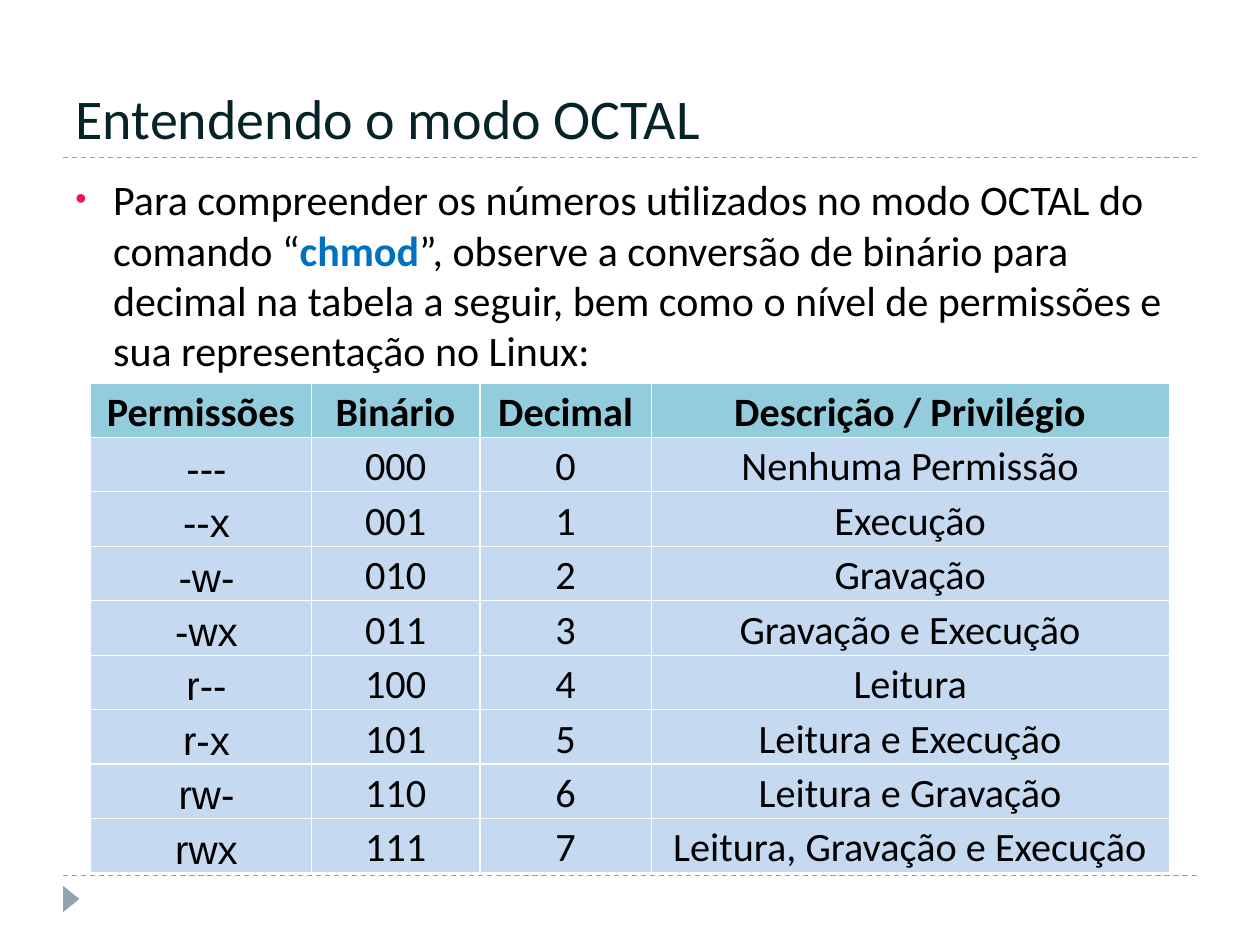
import pptx
import pptx.dml.color
import pptx.enum.dml
import pptx.enum.shapes
import pptx.enum.text
import pptx.oxml.ns
import pptx.util
from lxml import etree
from pptx.util import Inches

COLORS = {
    "title": "062328",
    "text": "000000",
    "command": "0070C0",
    "bullet": "ED145B",
    "rule": "91A4AE",
    "header": "93CDDD",
    "cell": "C5D9F1",
    "border": "FFFFFF",
}


def rgb(name):
    return pptx.dml.color.RGBColor.from_string(COLORS[name])


def format_run(run, size, color, bold=False, font="Calibri"):
    run.font.name = font
    run.font.size = pptx.util.Pt(size)
    run.font.bold = bold
    run.font.color.rgb = rgb(color)


presentation = pptx.Presentation()
presentation.slide_width = Inches(10)
presentation.slide_height = Inches(7.5)
slide = presentation.slides.add_slide(presentation.slide_layouts[5])
qn = pptx.oxml.ns.qn

# Dashed rules
for y in (6.95, 1.25):
    rule = slide.shapes.add_connector(
        pptx.enum.shapes.MSO_CONNECTOR.STRAIGHT,
        Inches(0.5), Inches(y), Inches(9.5), Inches(y))
    rule.line.color.rgb = rgb("rule")
    rule.line.width = pptx.util.Pt(0.75)
    rule.line.dash_style = pptx.enum.dml.MSO_LINE.DASH
    etree.SubElement(rule._element.spPr, qn("a:effectLst"))

# Footer marker
marker = slide.shapes.add_shape(
    pptx.enum.shapes.MSO_SHAPE.ISOSCELES_TRIANGLE,
    Inches(0.46), Inches(7.07), Inches(0.21), Inches(0.13))
marker.rotation = 90
marker.shadow.inherit = False
marker.fill.solid()
marker.fill.fore_color.rgb = rgb("rule")
marker.line.fill.background()

# Title
title = slide.shapes.title
title.left, title.top = Inches(0.5), Inches(0.17)
title.width, title.height = Inches(9), Inches(1.08)
title.text_frame.text = "Entendendo o modo OCTAL"
title.text_frame.vertical_anchor = pptx.enum.text.MSO_ANCHOR.BOTTOM
paragraph = title.text_frame.paragraphs[0]
paragraph.alignment = pptx.enum.text.PP_ALIGN.LEFT
format_run(paragraph.runs[0], 32, "title")

# Introduction with its bullet
body = slide.shapes.add_textbox(Inches(0.5), Inches(1.33), Inches(9), Inches(5.4))
body.text_frame.word_wrap = True
paragraph = body.text_frame.paragraphs[0]
properties = paragraph._p.get_or_add_pPr()
properties.set("marL", str(Inches(0.3)))
properties.set("indent", str(-Inches(0.3)))
bullet_color = etree.SubElement(properties, qn("a:buClr"))
etree.SubElement(bullet_color, qn("a:srgbClr"), val=COLORS["bullet"])
etree.SubElement(properties, qn("a:buSzPct"), val="76000")
etree.SubElement(properties, qn("a:buFont"), typeface="Arial")
etree.SubElement(properties, qn("a:buChar"), char="•")
for text, color, bold in (
    ("Para compreender os números utilizados no modo OCTAL do comando “", "text", False),
    ("chmod", "command", True),
    ("”, observe a conversão de binário para decimal na tabela a seguir, bem como "
     "o nível de permissões e sua representação no Linux:", "text", False),
):
    run = paragraph.add_run()
    run.text = text
    format_run(run, 24, color, bold)

# Permission table: the row number gives the binary and decimal values
permissions = [
    ("---", "Nenhuma Permissão"),
    ("--x", "Execução"),
    ("-w-", "Gravação"),
    ("-wx", "Gravação e Execução"),
    ("r--", "Leitura"),
    ("r-x", "Leitura e Execução"),
    ("rw-", "Leitura e Gravação"),
    ("rwx", "Leitura, Gravação e Execução"),
]
rows = [("Permissões", "Binário", "Decimal", "Descrição / Privilégio")]
for number, (mode, description) in enumerate(permissions):
    rows.append((f" {mode}", f"{number:03b}", str(number), description))

column_widths = (1.75, 1.34, 1.36, 4.11)
table = slide.shapes.add_table(
    len(rows), len(column_widths),
    Inches(0.72), Inches(3.04), Inches(8.56), Inches(3.89)).table
for column, width in zip(table.columns, column_widths):
    column.width = Inches(width)

for row_index, texts in enumerate(rows):
    table.rows[row_index].height = Inches(3.89 / len(rows))
    is_header = row_index == 0
    for column_index, text in enumerate(texts):
        cell = table.cell(row_index, column_index)
        cell.margin_left = cell.margin_right = cell.margin_top = Inches(0.02)
        cell.margin_bottom = 0
        cell.vertical_anchor = pptx.enum.text.MSO_ANCHOR.BOTTOM
        cell.text_frame.text = text
        paragraph = cell.text_frame.paragraphs[0]
        paragraph.alignment = pptx.enum.text.PP_ALIGN.CENTER
        is_mode = column_index == 0 and not is_header
        format_run(paragraph.runs[0], 23, "text", is_header,
                   "Arial" if is_mode else "Calibri")
        cell_properties = cell._tc.get_or_add_tcPr()
        for side in ("a:lnL", "a:lnR", "a:lnT", "a:lnB"):
            border = etree.SubElement(
                cell_properties, qn(side), w=str(pptx.util.Pt(0.75)))
            border_fill = etree.SubElement(border, qn("a:solidFill"))
            etree.SubElement(border_fill, qn("a:srgbClr"), val=COLORS["border"])
        cell.fill.solid()
        cell.fill.fore_color.rgb = rgb("header" if is_header else "cell")

presentation.save("out.pptx")
